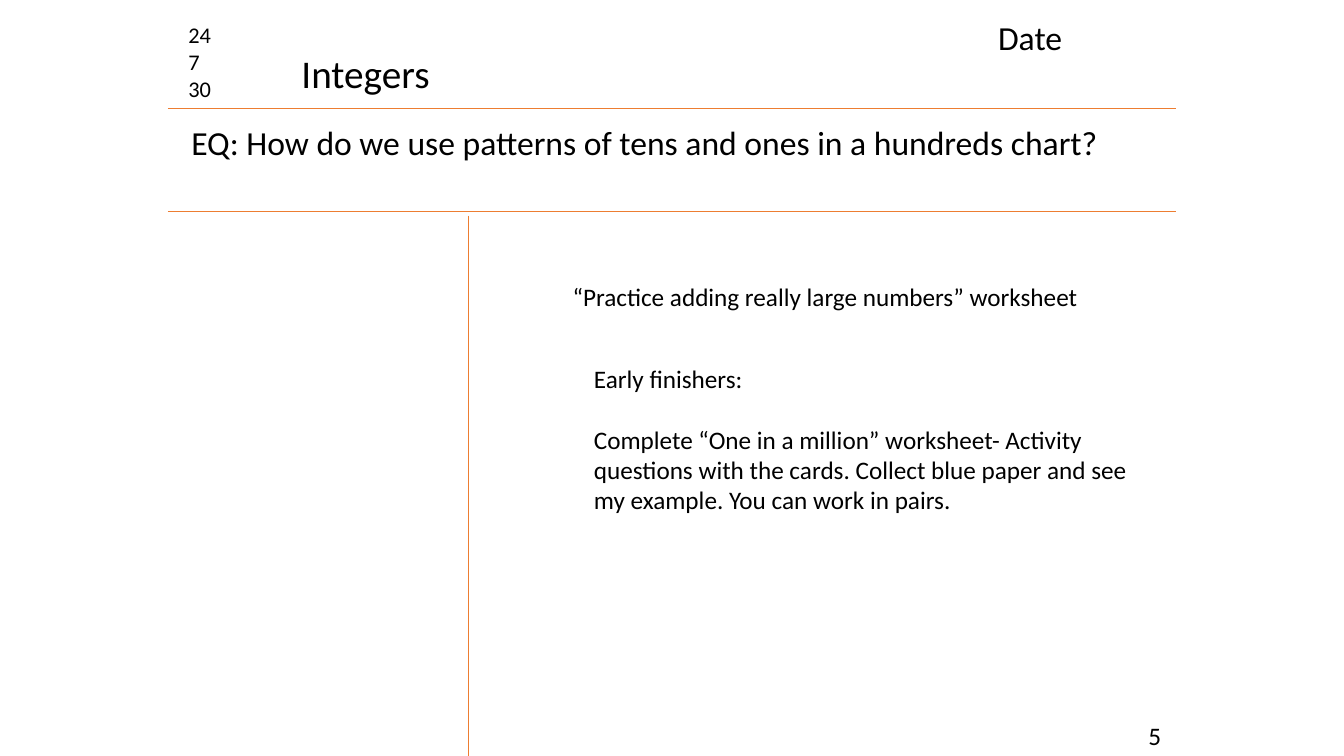
"""Build the "Integers" lesson note slide."""
from dataclasses import dataclass

from lxml.etree import SubElement
from pptx import Presentation
from pptx.dml.color import RGBColor
from pptx.enum.shapes import MSO_CONNECTOR
from pptx.enum.text import MSO_ANCHOR, MSO_AUTO_SIZE, PP_ALIGN
from pptx.oxml.ns import qn
from pptx.presentation import Presentation as Deck
from pptx.shapes.autoshape import Shape
from pptx.slide import Slide
from pptx.util import Inches, Pt

INK = RGBColor(0x00, 0x00, 0x00)
RULE_ORANGE = RGBColor(0xED, 0x7D, 0x31)
FONT = "Calibri"
SLIDE_WIDTH = Inches(13.33)
SLIDE_HEIGHT = Inches(7.5)
PAGE_LEFT, PAGE_RIGHT = 12.5, 87.5
MARGIN_RULE = 34.88


@dataclass(frozen=True)
class Note:
    """Text with its place in percent of the slide."""

    text: str
    left: float
    top: float
    width: float
    height: float
    size: int
    gap: int = 0
    wrap: bool = True


@dataclass(frozen=True)
class Rule:
    """Straight line between two points in percent of the slide."""

    start: tuple[float, float]
    end: tuple[float, float]


HEADING = Note("Integers", 21.68, 5.87, 11.1, 7.6, 28, wrap=False)
EARLY_FINISHERS = Note(
    "Early finishers:\nComplete “One in a million” worksheet- Activity questions "
    "with the cards. Collect blue paper and see my example. You can work in pairs.",
    43.44, 47.33, 43.06, 25.6, 18, gap=22,
)
NOTES = (
    Note("24\n7\n30", 13.28, 2.13, 4.73, 12.13, 16),
    Note("Date", 73.52, 1.6, 12.98, 6.67, 24),
    Note("EQ: How do we use patterns of tens and ones in a hundreds chart?",
         13.5, 15.47, 70.74, 6.67, 24),
    Note("“Practice adding really large numbers” worksheet",
         41.86, 36.53, 49.06, 5.33, 18),
    Note("5", 84.7, 94.67, 4.05, 5.33, 18),
)
RULES = (
    Rule((PAGE_LEFT, 14.27), (PAGE_RIGHT, 14.27)),
    Rule((PAGE_LEFT, 28), (PAGE_RIGHT, 28)),
    Rule((MARGIN_RULE, 28.53), (MARGIN_RULE, 100)),
)


def across(percent: float) -> int:
    """Return a share of the slide width."""
    return round(SLIDE_WIDTH * percent / 100)


def down(percent: float) -> int:
    """Return a share of the slide height."""
    return round(SLIDE_HEIGHT * percent / 100)


def write_note(holder: Shape, note: Note) -> None:
    """Place and format a note in its text holder."""
    holder.left, holder.top = across(note.left), down(note.top)
    holder.width, holder.height = across(note.width), down(note.height)
    frame = holder.text_frame
    frame.text = note.text
    frame.word_wrap = note.wrap
    frame.auto_size = MSO_AUTO_SIZE.NONE
    frame.vertical_anchor = MSO_ANCHOR.TOP
    for index, paragraph in enumerate(frame.paragraphs):
        properties = paragraph._p.get_or_add_pPr()
        properties.set("marL", "0")
        properties.set("indent", "0")
        SubElement(properties, qn("a:buNone"))
        paragraph.alignment = PP_ALIGN.LEFT
        paragraph.space_before = Pt(note.gap if index else 0)
        for run in paragraph.runs:
            run.font.name = FONT
            run.font.size = Pt(note.size)
            run.font.color.rgb = INK


def draw_rule(slide: Slide, rule: Rule) -> None:
    """Draw a thin orange rule."""
    connector = slide.shapes.add_connector(
        MSO_CONNECTOR.STRAIGHT,
        across(rule.start[0]), down(rule.start[1]),
        across(rule.end[0]), down(rule.end[1]),
    )
    connector.line.color.rgb = RULE_ORANGE
    connector.line.width = Pt(0.5)
    SubElement(connector._element.spPr, qn("a:effectLst"))


def build() -> Deck:
    """Assemble the lesson slide."""
    deck = Presentation()
    deck.slide_width, deck.slide_height = SLIDE_WIDTH, SLIDE_HEIGHT
    slide = deck.slides.add_slide(deck.slide_layouts.get_by_name("Title and Content"))
    for rule in RULES:
        draw_rule(slide, rule)
    write_note(slide.shapes.title, HEADING)
    write_note(slide.placeholders[1], EARLY_FINISHERS)
    for note in NOTES:
        write_note(slide.shapes.add_textbox(0, 0, 0, 0), note)
    return deck


if __name__ == "__main__":
    build().save("out.pptx")
